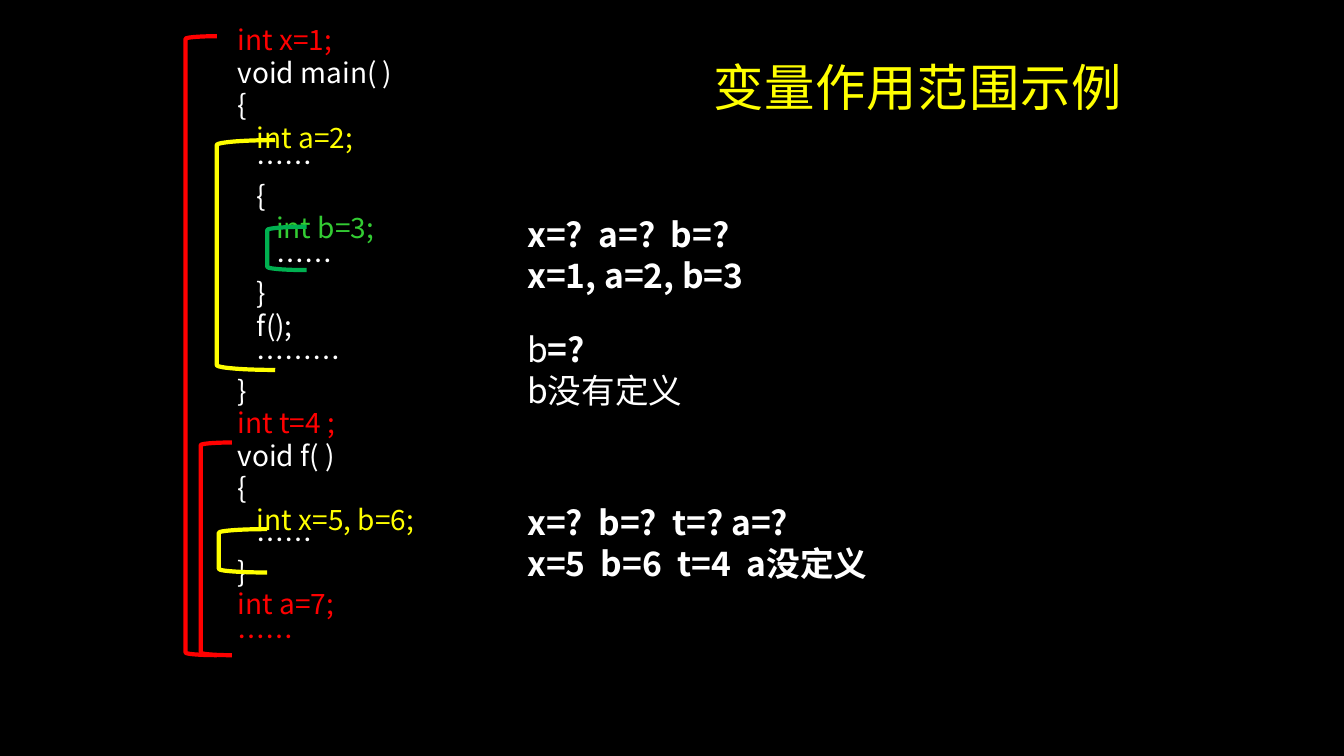
from pptx import Presentation
from pptx.dml.color import RGBColor
from pptx.enum import shapes, text
from pptx.oxml.ns import qn
from pptx.util import Inches, Pt
from lxml import etree

BLACK = RGBColor(0x00, 0x00, 0x00)
WHITE = RGBColor(0xFF, 0xFF, 0xFF)
RED = RGBColor(0xFF, 0x00, 0x00)
YELLOW = RGBColor(0xFF, 0xFF, 0x00)
LIME = RGBColor(0x33, 0xCC, 0x33)
GREEN = RGBColor(0x00, 0xB0, 0x50)
BODY_FONT = "Noto Sans CJK SC"
INDENT = 0.19

presentation = Presentation()
presentation.slide_width = Inches(13.33)
presentation.slide_height = Inches(7.5)
slide = presentation.slides.add_slide(presentation.slide_layouts[6])
slide.background.fill.solid()
slide.background.fill.fore_color.rgb = BLACK


def add_box(left, top, width, height):
    box = slide.shapes.add_textbox(Inches(left), Inches(top), Inches(width), Inches(height))
    box.text_frame.word_wrap = True
    return box


def add_run(paragraph, words, size, color=WHITE, bold=False, font=BODY_FONT):
    run = paragraph.add_run()
    run.text = words
    run.font.size = Pt(size)
    run.font.bold = bold
    run.font.color.rgb = color
    run.font.name = font
    properties = run.font._element
    etree.SubElement(properties, qn("a:ea")).set("typeface", BODY_FONT)
    return run


# Title
title = add_box(6.98, 0.44, 4.38, 0.83)
title.text_frame.vertical_anchor = text.MSO_ANCHOR.MIDDLE
title_run = add_run(title.text_frame.paragraphs[0], "变量作用范围示例", 36, YELLOW, font="Lato")
title_run.font._element.set("spc", "50")

# Code listing: words, indent level, colour, line height in points
NORMAL = 19.2
code_lines = [
    ("int x=1;", 0, RED, 21.6),
    ("void main( )", 0, WHITE, NORMAL),
    ("{", 0, WHITE, NORMAL),
    ("int a=2;", 1, YELLOW, NORMAL),
    ("……", 1, WHITE, 14.4),
    ("{", 1, WHITE, NORMAL),
    ("int b=3;", 2, LIME, NORMAL),
    ("……", 2, WHITE, NORMAL),
    ("}", 1, WHITE, NORMAL),
    ("f();", 1, WHITE, NORMAL),
    ("………", 1, WHITE, NORMAL),
    ("}", 0, WHITE, NORMAL),
    ("int t=4 ;", 0, RED, NORMAL),
    ("void f( )", 0, WHITE, NORMAL),
    ("{", 0, WHITE, NORMAL),
    ("int x=5, b=6;", 1, YELLOW, NORMAL),
    ("……", 1, WHITE, 9.6),
    ("}", 0, WHITE, NORMAL),
    ("int a=7;", 0, RED, NORMAL),
    ("……", 0, RED, NORMAL),
]
code_frame = add_box(2.26, 0.21, 7.56, 7.09).text_frame
for index, (words, level, color, line_height) in enumerate(code_lines):
    paragraph = code_frame.add_paragraph() if index else code_frame.paragraphs[0]
    paragraph.line_spacing = Pt(line_height)
    paragraph.space_before = Pt(4 if index else 0)
    paragraph._p.get_or_add_pPr().set("marL", str(Inches(INDENT * level)))
    add_run(paragraph, words, 20, color)

# Questions and answers: top, width, lines of (words, bold) runs
answers = [
    (2.07, 2.91, [[("x=?  a=?  b=?", True)], [("x=1, a=2, b=3", True)]]),
    (3.21, 2.97, [[("b", False), ("=?", True)], [("b没有定义", False)]]),
    (4.93, 4.61, [[("x=?  b=?  t=? a=?", True)], [("x=5  b=6  t=4  a没定义", True)]]),
]
for top, width, lines in answers:
    answer = add_box(5.13, top, width, 0.91)
    answer.fill.solid()
    answer.fill.fore_color.rgb = BLACK
    for index, runs in enumerate(lines):
        frame = answer.text_frame
        paragraph = frame.add_paragraph() if index else frame.paragraphs[0]
        paragraph.line_spacing = Pt(29)
        for words, bold in runs:
            add_run(paragraph, words, 24, bold=bold)

# Scope brackets
brackets = [
    (1.84, 0.36, 0.31, 6.14, RED),
    (2.15, 1.39, 0.58, 2.28, YELLOW),
    (1.99, 4.39, 0.31, 2.11, RED),
    (2.65, 2.25, 0.39, 0.43, GREEN),
    (2.17, 5.25, 0.48, 0.43, YELLOW),
]
for left, top, width, height, color in brackets:
    bracket = slide.shapes.add_shape(shapes.MSO_SHAPE.LEFT_BRACKET, Inches(left),
                                     Inches(top), Inches(width), Inches(height))
    bracket.shadow.inherit = False
    bracket.fill.background()
    bracket.line.color.rgb = color
    bracket.line.width = Pt(3)

presentation.save("out.pptx")
